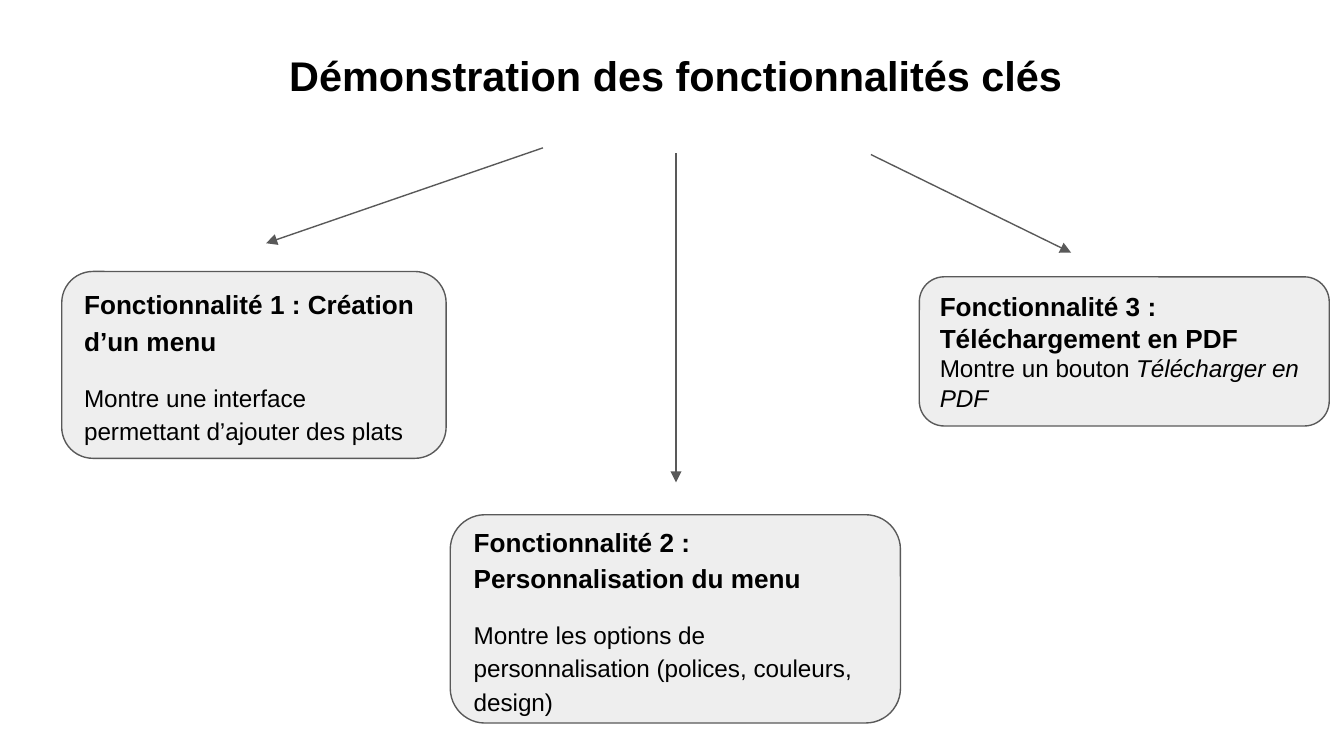
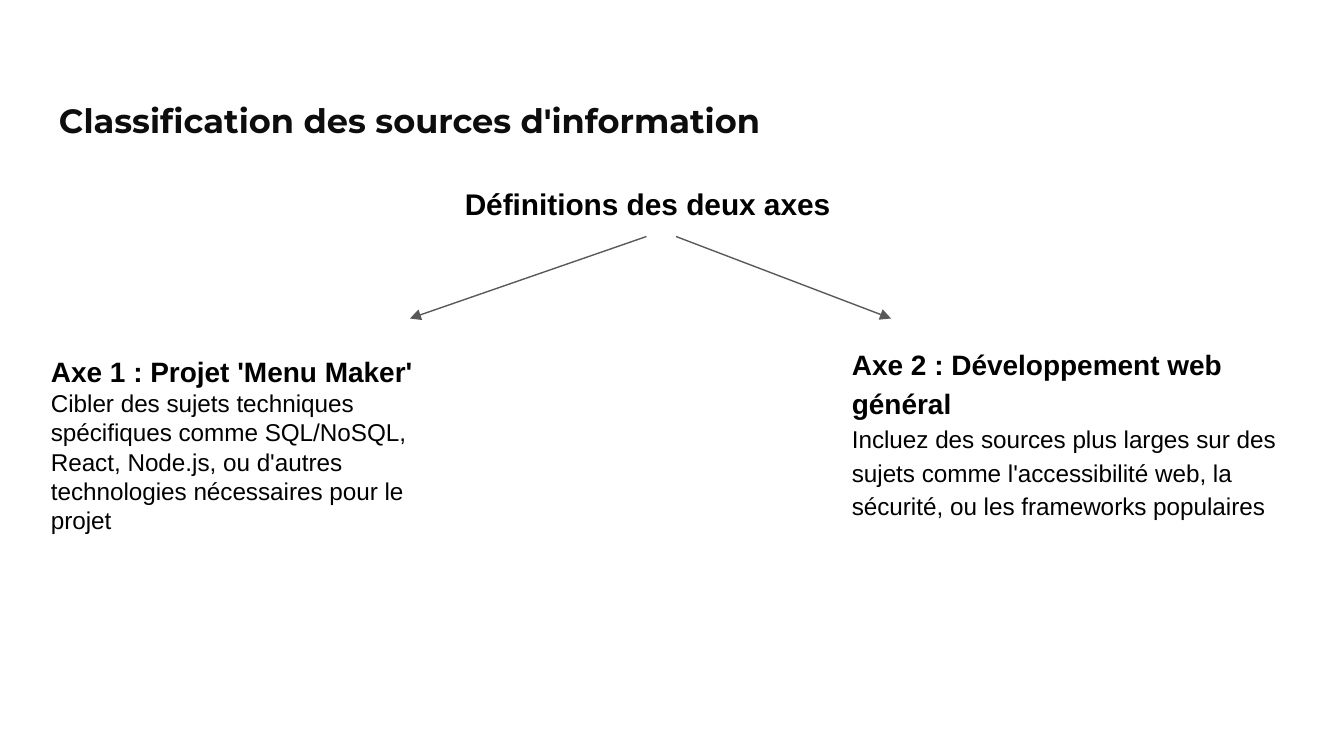
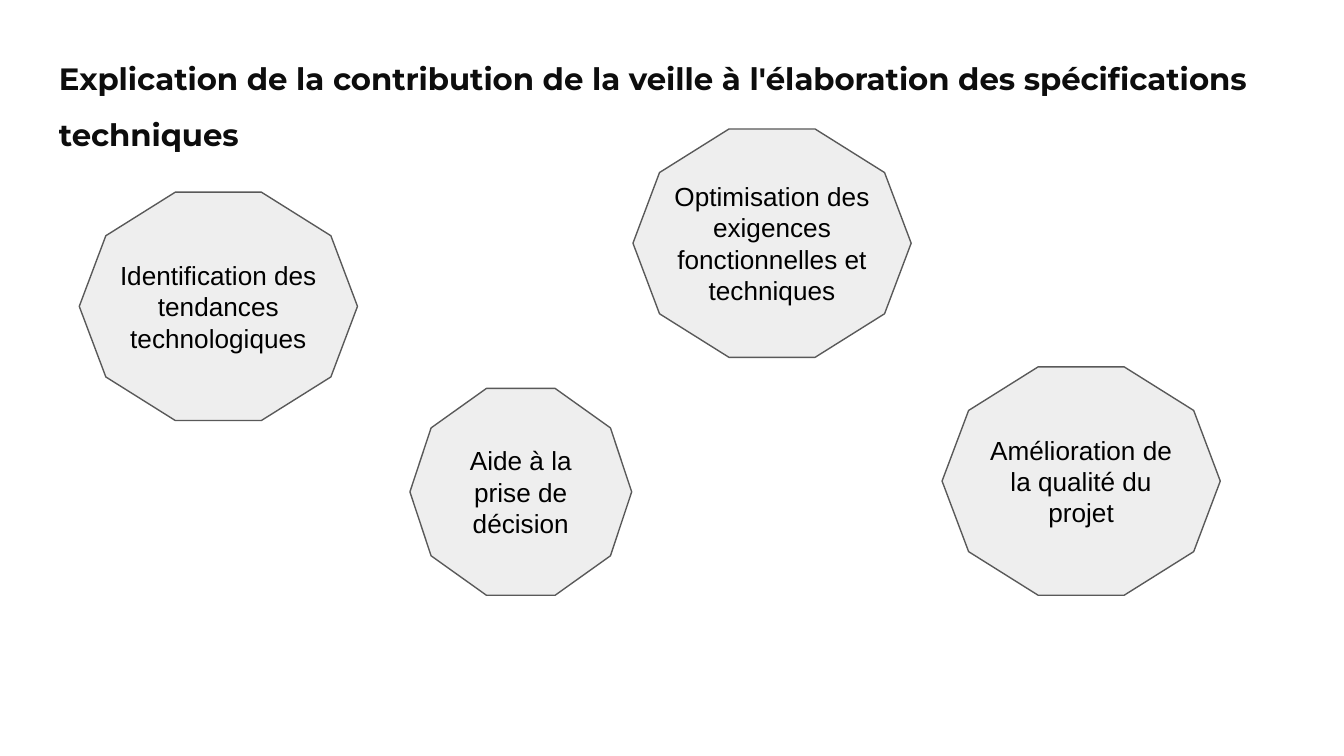
from lxml import etree
from pptx import Presentation
from pptx import util as u
from pptx.dml.color import RGBColor
from pptx.enum import shapes, text
from pptx.oxml import ns

PX = u.Inches(1) // 100
INSET = 10 * PX
BLACK, TITLE_INK, GREY, PALE = "000000", "0D0D0D", "595959", "EEEEEE"
colour = RGBColor.from_string


def add_box(slide, place, kind=None):
    """Add a text box, or an outlined pale shape when a kind is given."""
    place = [length * PX for length in place]
    if kind is None:
        shape = slide.shapes.add_textbox(*place)
    else:
        shape = slide.shapes.add_shape(kind, *place)
        shape.shadow.inherit = False
        shape.fill.solid()
        shape.fill.fore_color.rgb = colour(PALE)
        shape.line.color.rgb = colour(GREY)
        shape.line.width = u.Pt(0.75)
    frame = shape.text_frame
    frame.word_wrap = True
    frame.margin_left = frame.margin_right = INSET
    frame.margin_top = frame.margin_bottom = INSET
    frame.vertical_anchor = text.MSO_ANCHOR.MIDDLE if kind else text.MSO_ANCHOR.TOP
    return shape


def add_text(shape, words, size, font="Arial", ink=BLACK, bold=False, italic=False,
             align=text.PP_ALIGN.LEFT, spacing=1.0, before=0, after=0, inline=False):
    """Write a paragraph, or continue the last one when inline."""
    frame = shape.text_frame
    paragraph = frame.paragraphs[-1]
    if not inline:
        if paragraph.runs:
            paragraph = frame.add_paragraph()
        paragraph.alignment = align
        paragraph.line_spacing = spacing
        paragraph.space_before = u.Pt(before)
        paragraph.space_after = u.Pt(after)
    run = paragraph.add_run()
    run.text = words
    run.font.name = font
    run.font.size = u.Pt(size)
    run.font.bold = bold
    run.font.italic = italic
    run.font.color.rgb = colour(ink)


presentation = Presentation()
presentation.slide_width = 1000 * PX
presentation.slide_height = presentation.slide_width * 9 // 16
blank = presentation.slide_layouts[6]
features, sources, benefits = [presentation.slides.add_slide(blank) for _ in range(3)]

# Titles
montserrat = dict(font="Montserrat", ink=TITLE_INK, spacing=1.5)
for slide, left, top, words, style in [
    (features, 37, 27, "Démonstration des fonctionnalités clés",
     dict(size=22.2, align=text.PP_ALIGN.CENTER)),
    (sources, 34, 49, "Classification des sources d'information",
     dict(size=18, **montserrat)),
    (benefits, 34, 21, "Explication de la contribution de la veille à l'élaboration "
     "des spécifications techniques", dict(size=16.5, **montserrat)),
]:
    add_text(add_box(slide, (left, top, 932, 63)), words, bold=True, **style)

# Arrows from each heading to its branches
for slide, *ends in [
    (features, 404, 110, 198, 181),
    (features, 503, 114, 503, 359),
    (features, 648, 115, 797, 188),
    (sources, 481, 176, 305, 237),
    (sources, 503, 176, 663, 237),
]:
    arrow = slide.shapes.add_connector(shapes.MSO_CONNECTOR.STRAIGHT,
                                       *[end * PX for end in ends])
    arrow.line.color.rgb = colour(GREY)
    arrow.line.width = u.Pt(0.75)
    properties = arrow.element.spPr
    etree.SubElement(properties.find(ns.qn("a:ln")), ns.qn("a:tailEnd"), type="triangle")
    etree.SubElement(properties, ns.qn("a:effectLst"))

# Feature cards
for place, heading, body, spacing, gap, after in [
    ((46, 202, 286, 139), "Fonctionnalité 1 : Création d’un menu",
     "Montre une interface permettant d’ajouter des plats", 1.15, 12, 12),
    ((335, 383, 335, 155), "Fonctionnalité 2 : Personnalisation du menu",
     "Montre les options de personnalisation (polices, couleurs, design)", 1.15, 12, 2),
    ((684, 206, 305, 111), "Fonctionnalité 3 : Téléchargement en PDF",
     "Montre un bouton ", 1.0, 0, 0),
]:
    card = add_box(features, place, shapes.MSO_SHAPE.ROUNDED_RECTANGLE)
    add_text(card, heading, 14, bold=True, spacing=spacing)
    add_text(card, body, 13, spacing=spacing, before=gap, after=after)
add_text(card, "Télécharger en PDF", 13, italic=True, inline=True)

# Two axes of sources
add_text(add_box(sources, (336, 128, 328, 48)), "Définitions des deux axes", 16, bold=True)
for place, heading, body, spacing in [
    ((28, 254, 328, 155), "Axe 1 : Projet 'Menu Maker'",
     "Cibler des sujets techniques spécifiques comme SQL/NoSQL, React, Node.js, "
     "ou d'autres technologies nécessaires pour le projet", 1.0),
    ((624, 245, 354, 150), "Axe 2 : Développement web général",
     "Incluez des sources plus larges sur des sujets comme l'accessibilité web, "
     "la sécurité, ou les frameworks populaires", 1.15),
]:
    axis = add_box(sources, place)
    add_text(axis, heading, 15, bold=True, spacing=spacing)
    add_text(axis, body, 13, spacing=spacing)

# Benefits in decagons
for place, words in [
    ((59, 143, 207, 170), "Identification des tendances technologiques"),
    ((305, 289, 165, 154), "Aide à la prise de décision"),
    ((471, 96, 207, 170), "Optimisation des exigences fonctionnelles et techniques"),
    ((701, 273, 207, 170), "Amélioration de la qualité du projet"),
]:
    decagon = add_box(benefits, place, shapes.MSO_SHAPE.DECAGON)
    add_text(decagon, words, 14, align=text.PP_ALIGN.CENTER)

presentation.save("out.pptx")
